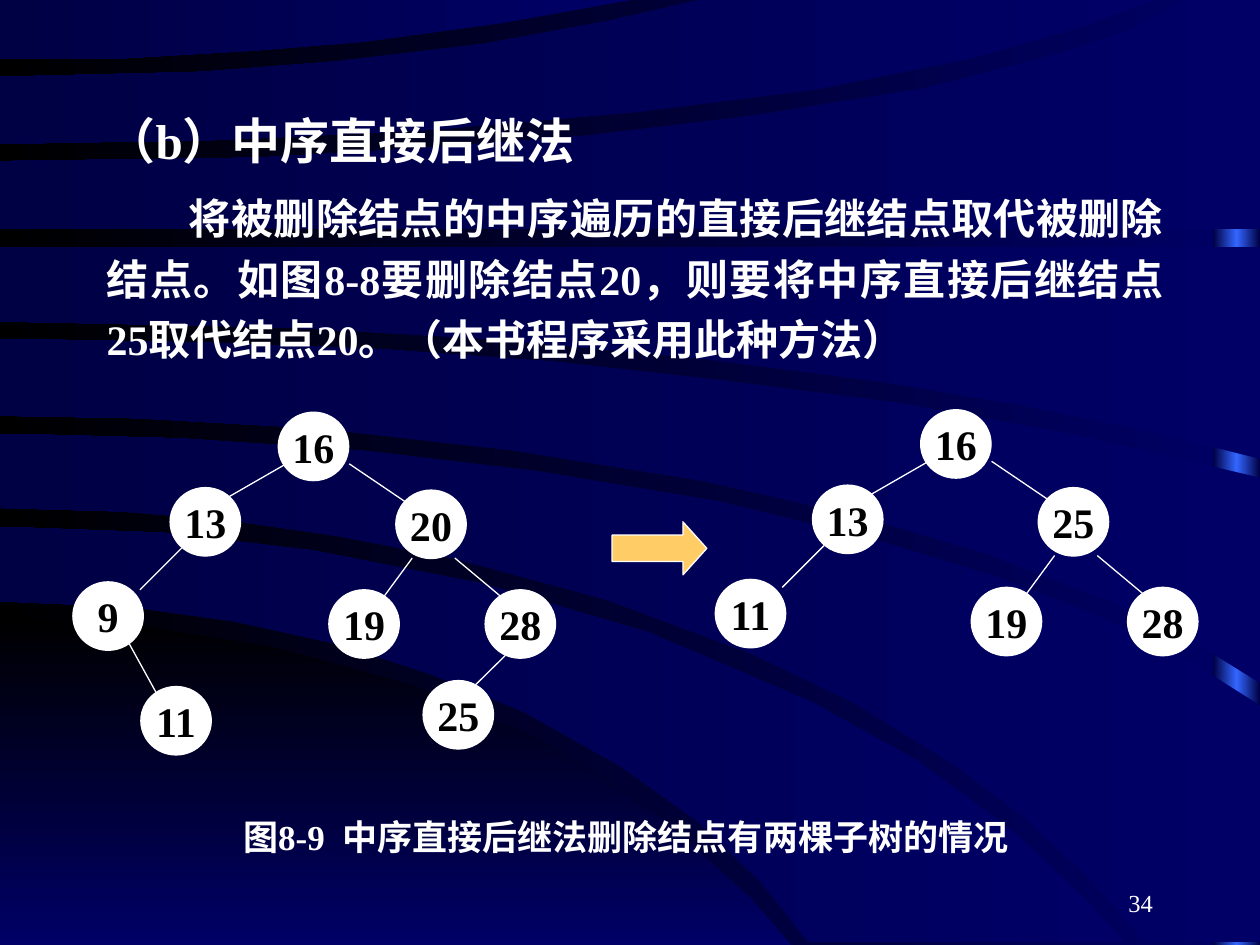
from copy import deepcopy
from dataclasses import dataclass
from typing import NamedTuple, Optional

from pptx import Presentation
from pptx.dml.color import RGBColor as RGB
from pptx.enum.shapes import MSO_CONNECTOR as Link, MSO_SHAPE as Kind
from pptx.enum.text import MSO_ANCHOR as Anchor, PP_ALIGN as Align
from pptx.oxml.ns import qn
from pptx.oxml.xmlchemy import OxmlElement as Tag
from pptx.util import Cm, Pt


@dataclass(frozen=True)
class Theme:
    white: str = "FFFFFF"
    black: str = "000000"
    navy: str = "000066"
    deep: str = "000044"
    glow: str = "3366FF"
    gold: str = "FFCC66"
    latin: str = "Times New Roman"
    asian: str = "Noto Sans CJK SC"
    title: int = 28
    body: int = 24
    label: int = 20
    page: int = 14
    line: float = 0.75


class Node(NamedTuple):
    x: float
    y: float
    before: str
    after: Optional[str]  # None: the node is gone after the deletion


class Edge(NamedTuple):
    x1: float
    y1: float
    x2: float
    y2: float
    kept: bool


T = Theme()
WIDE, HIGH = 25.4, 19.05
NODE_W, NODE_H = 1.42, 1.38
SHIFT = (12.95, -0.05)  # right tree relative to the left one

NODES = [
    Node(5.61, 8.31, "16", "16"), Node(2.84, 13.84, "11", None),
    Node(8.53, 13.72, "25", None), Node(9.78, 11.89, "28", "28"),
    Node(6.63, 11.89, "19", "19"), Node(1.47, 11.73, "9", "11"),
    Node(7.98, 9.88, "20", "25"), Node(3.43, 9.83, "13", "13"),
]
EDGES = [
    Edge(5.77, 9.35, 4.5, 10.08, True), Edge(3.66, 11.05, 2.82, 11.89, True),
    Edge(2.59, 12.95, 3.18, 14.02, False), Edge(7.04, 9.35, 8.31, 10.21, True),
    Edge(8.31, 11.25, 7.67, 12.12, True), Edge(9.17, 11.25, 10.21, 12.12, True),
    Edge(10.19, 13.21, 9.55, 13.84, False),
]

FLOOR = [(0, HIGH), (0, 12.47), (2.84, 12.62), (5.54, 13.06), (8.31, 13.82),
         (10.8, 14.88), (13.41, 16.54), (15.14, 18.11), (15.95, HIGH)]
BANDS = [
    [(0, 10.62), (3.3, 10.74), (6.32, 11.1), (9.7, 11.76), (13.08, 12.75),
     (16.36, 14.15), (18.47, 15.32), (20.37, 16.71), (21.89, 18.14), (22.68, 19),
     (16.31, 19), (15.34, 17.78), (14.05, 16.54), (12.5, 15.44), (10.57, 14.35),
     (8.69, 13.59), (6.81, 12.98), (4.7, 12.52), (2.67, 12.24), (0, 12.12)],
    [(0, 8.74), (3.66, 8.84), (7.34, 9.09), (10.82, 9.5), (14.48, 10.11),
     (17.6, 10.87), (20.04, 11.61), (22.17, 12.42), (23.83, 13.23), (WIDE, 14.22),
     (WIDE, 19), (23.09, 19), (21.89, 17.63), (20.57, 16.41), (19.2, 15.39),
     (17.22, 14.17), (15.16, 13.18), (12.24, 12.09), (9.14, 11.25), (6.78, 10.8),
     (4.65, 10.49), (2.46, 10.31), (0, 10.24)],
    [(0, 6.83), (4.27, 6.91), (7.65, 7.04), (11.13, 7.29), (14.38, 7.65),
     (18.14, 8.13), (21.82, 8.79), (WIDE, 9.63), (WIDE, 13.77), (24.16, 13),
     (22.38, 12.12), (19.86, 11.15), (17.35, 10.41), (14.22, 9.7), (10.31, 9.07),
     (6.48, 8.64), (2.77, 8.43), (0, 8.38)],
    [(0, 4.98), (WIDE, 4.98), (WIDE, 9.25), (23.24, 8.71), (20.65, 8.18),
     (17.83, 7.7), (14.02, 7.21), (9.88, 6.83), (5.79, 6.6), (0, 6.48)],
    [(0, 3.25), (0, 4.62), (WIDE, 4.62), (WIDE, 0), (23.95, 0), (22.66, 0.64),
     (21.21, 1.12), (18.64, 1.78), (15.16, 2.34), (11.81, 2.74), (8.36, 3),
     (5.16, 3.18)],
    [(0, 1.55), (0, 2.9), (4.5, 2.82), (8.66, 2.62), (12.8, 2.26), (16.46, 1.8),
     (19.61, 1.17), (21.69, 0.58), (23.29, 0), (14.12, 0), (12.24, 0.43),
     (9.73, 0.89), (6.78, 1.24), (4.06, 1.45)],
    [(0, 0), (0, 1.19), (1.7, 1.19), (2.57, 1.17), (5.13, 1.02), (7.34, 0.84),
     (10.13, 0.46), (12.73, 0)],
]


def blend(fill, root, tints: list[str], angle: int = 180) -> None:
    """Spread the tints evenly; root is the element that holds the fill."""
    fill.gradient()
    fill.gradient_angle = angle
    stops = next(root.iter(qn("a:gsLst")))
    while len(stops) < len(tints):
        stops.append(deepcopy(stops[0]))
    for i, (stop, tint) in enumerate(zip(fill.gradient_stops, tints)):
        stop.color.rgb = RGB.from_string(tint)
        stop.position = i / (len(tints) - 1)


def add_band(shapes, spots: list[tuple], tints: list[str], angle: int = 180) -> None:
    first, *rest = [(Cm(x), Cm(y)) for x, y in spots]
    pen = shapes.build_freeform(*first)
    pen.add_line_segments(rest)
    band = pen.convert_to_shape()
    band.shadow.inherit = False
    band.line.fill.background()
    blend(band.fill, band.element, tints, angle)


def add_solid(shapes, kind, x: float, y: float, w: float, h: float, tint: str):
    item = shapes.add_shape(kind, Cm(x), Cm(y), Cm(w), Cm(h))
    item.shadow.inherit = False
    item.fill.solid()
    item.fill.fore_color.rgb = RGB.from_string(tint)
    item.line.color.rgb = RGB.from_string(T.white)
    item.line.width = Pt(T.line)
    return item


def add_run(para, text: str, size: int, tint: str = T.white, bold: bool = True,
            face: str = T.latin) -> None:
    run = para.add_run()
    run.text = text
    font = run.font
    font.name, font.size, font.bold = face, Pt(size), bold
    font.color.rgb = RGB.from_string(tint)
    asian = Tag("a:ea")
    asian.set("typeface", T.asian)
    run._r.get_or_add_rPr().find(qn("a:latin")).addnext(asian)


def add_box(shapes, x: float, y: float, w: float, h: float):
    frame = shapes.add_textbox(Cm(x), Cm(y), Cm(w), Cm(h)).text_frame
    frame.word_wrap = True
    return frame


def add_tree(shapes, dx: float = 0, dy: float = 0, after: bool = False) -> None:
    for node in NODES:
        text = node.after if after else node.before
        if text is None:
            continue
        disc = add_solid(shapes, Kind.OVAL, node.x + dx, node.y + dy,
                         NODE_W, NODE_H, T.white)
        frame = disc.text_frame
        frame.word_wrap = False
        frame.vertical_anchor = Anchor.MIDDLE
        para = frame.paragraphs[0]
        para.alignment = Align.CENTER
        add_run(para, text, T.body, T.black)
    for edge in EDGES:
        if after and not edge.kept:
            continue
        line = shapes.add_connector(
            Link.STRAIGHT, Cm(edge.x1 + dx), Cm(edge.y1 + dy),
            Cm(edge.x2 + dx), Cm(edge.y2 + dy))
        line.line.color.rgb = RGB.from_string(T.white)
        line.line.width = Pt(T.line)
        line.element.spPr.append(Tag("a:effectLst"))


def main() -> None:
    deck = Presentation()
    deck.slide_width, deck.slide_height = Cm(WIDE), Cm(HIGH)
    slide = deck.slides.add_slide(deck.slide_layouts[6])
    shapes = slide.shapes

    # Backdrop: glowing edge strip, dark floor, curved bands
    blend(slide.background.fill, slide.element, [T.navy, T.black])
    strip = add_solid(shapes, Kind.RECTANGLE, 24.46, 0, 0.94, HIGH, T.deep)
    strip.line.fill.background()
    blend(strip.fill, strip.element, [T.deep, T.glow, T.deep])
    add_band(shapes, FLOOR, [T.black, T.navy], 270)
    for spots in BANDS:
        add_band(shapes, spots, [T.navy, T.deep])

    # Heading and explanation
    frame = add_box(shapes, 1.9, 2.11, 21.8, 5.56)
    head, body = frame.paragraphs[0], frame.add_paragraph()
    head.alignment = body.alignment = Align.JUSTIFY
    head.space_before, body.space_before = Pt(17.5), Pt(7.5)
    body.line_spacing = 1.2
    body._p.get_or_add_pPr().set("indent", str(Cm(1.66)))
    add_run(head, "（b）中序直接后继法", T.title)
    add_run(body, "将被删除结点的中序遍历的直接后继结点取代被删除结点。如图8-8要删除结点20，"
                  "则要将中序直接后继结点25取代结点20。（本书程序采用此种方法）", T.body)

    # Caption
    note = add_box(shapes, 4.65, 16.31, 17.15, 1.12).paragraphs[0]
    note.space_before = Pt(12.5)
    add_run(note, "图", T.label, face=T.asian)
    add_run(note, "8-9  中序直接后继法删除结点有两棵子树的情况", T.label)

    # Trees before and after the deletion, with the arrow between
    add_tree(shapes)
    add_tree(shapes, *SHIFT, after=True)
    arrow = add_solid(shapes, Kind.RIGHT_ARROW, 12.34, 10.52, 1.91, 1.07, T.gold)
    arrow.adjustments[1] = 0.45

    # Page number
    frame = add_box(shapes, 18.21, 17.35, 5.28, 1.27)
    frame.vertical_anchor = Anchor.BOTTOM
    page = frame.paragraphs[0]
    page.alignment = Align.RIGHT
    add_run(page, "34", T.page, bold=False)

    deck.save("out.pptx")


if __name__ == "__main__":
    main()
